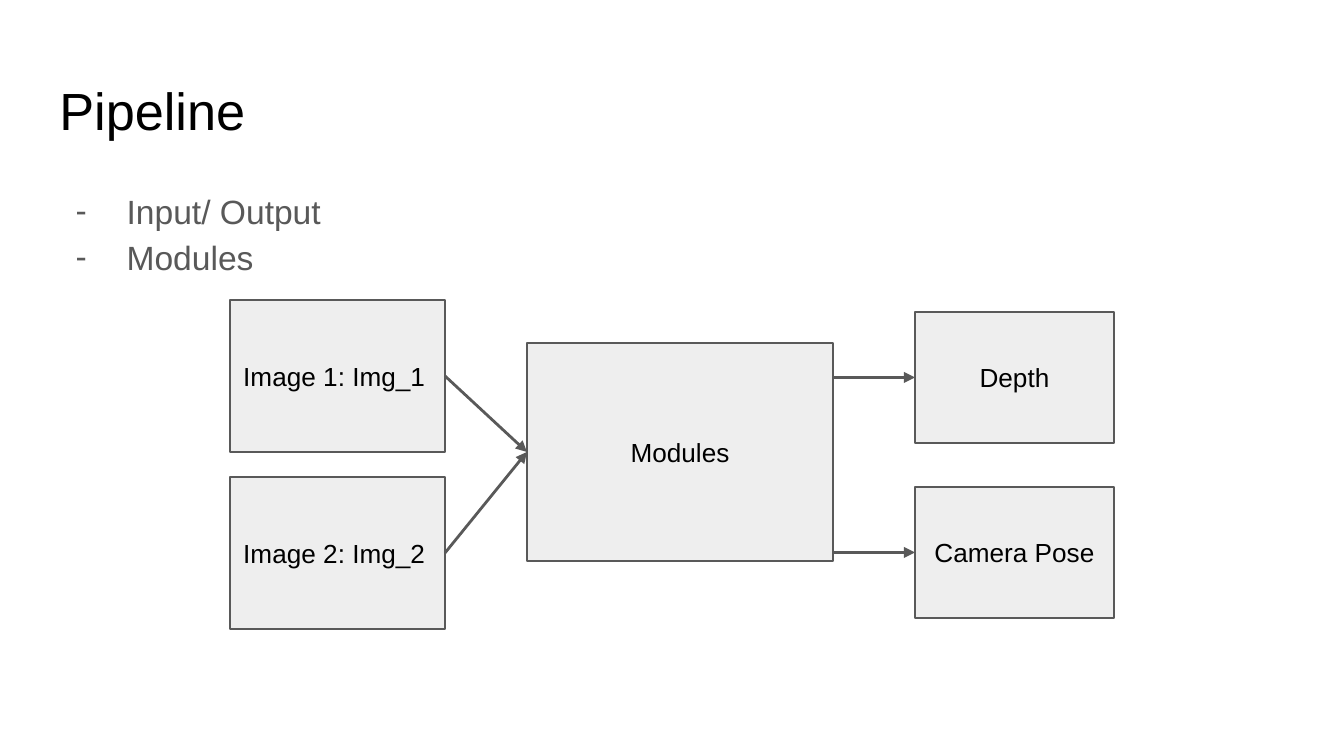
import pptx
import pptx.util
import pptx.dml.color
import pptx.enum.shapes
import pptx.enum.text
import lxml.etree
from pptx.oxml.ns import qn

PX = 914400 / 134.4
ALIGN = pptx.enum.text.PP_ALIGN
ANCHOR = pptx.enum.text.MSO_ANCHOR
GRAY = "595959"


def paint(code):
    return pptx.dml.color.RGBColor.from_string(code)


def write(shape, text, size, color, align, anchor):
    frame = shape.text_frame
    frame.text = text
    frame.word_wrap = True
    frame.auto_size = pptx.enum.text.MSO_AUTO_SIZE.NONE
    frame.vertical_anchor = anchor
    for side in ("left", "top", "right", "bottom"):
        setattr(frame, "margin_" + side, pptx.util.Inches(0.1))
    for para in frame.paragraphs:
        para.alignment = align
        para.space_before = pptx.util.Pt(0)
        font = para.runs[0].font
        font.name = "Arial"
        font.size = pptx.util.Pt(size)
        font.color.rgb = paint(color)


deck = pptx.Presentation()
deck.slide_width = round(1344 * PX)
deck.slide_height = round(756 * PX)
slide = deck.slides.add_slide(deck.slide_layouts[1])
title, body = slide.placeholders

for holder, top, high, text, size, color in (
    (title, 65, 84, "Pipeline", 28, "000000"),
    (body, 171, 502, "Input/ Output\nModules", 18, GRAY),
):
    holder.left, holder.top = round(46 * PX), round(top * PX)
    holder.width, holder.height = round(1253 * PX), round(high * PX)
    write(holder, text, size, color, ALIGN.LEFT, ANCHOR.TOP)

for para in body.text_frame.paragraphs:
    para.line_spacing = 1.15
    props = para._p.get_or_add_pPr()
    props.set("marL", str(pptx.util.Inches(0.5)))
    props.set("indent", str(pptx.util.Inches(-0.38)))
    tint = lxml.etree.SubElement(props, qn("a:buClr"))
    lxml.etree.SubElement(tint, qn("a:srgbClr"), val=GRAY)
    lxml.etree.SubElement(props, qn("a:buFont"), typeface="Arial")
    lxml.etree.SubElement(props, qn("a:buChar"), char="-")

boxes = {}
for text, left, top, wide, high, align in (
    ("Image 1: Img_1", 230, 300, 215, 152, ALIGN.LEFT),
    ("Image 2: Img_2", 230, 477, 215, 152, ALIGN.LEFT),
    ("Modules", 527, 343, 306, 218, ALIGN.CENTER),
    ("Depth", 915, 312, 199, 131, ALIGN.CENTER),
    ("Camera Pose", 915, 487, 199, 131, ALIGN.CENTER),
):
    area = [round(n * PX) for n in (left, top, wide, high)]
    box = slide.shapes.add_shape(pptx.enum.shapes.MSO_SHAPE.RECTANGLE, *area)
    box.shadow.inherit = False
    box.fill.solid()
    box.fill.fore_color.rgb = paint("EEEEEE")
    box.line.color.rgb = paint(GRAY)
    box.line.width = pptx.util.Pt(0.75)
    write(box, text, 14, "000000", align, ANCHOR.MIDDLE)
    boxes[text] = box

hub = boxes["Modules"]
for start, end in (
    ("Image 1: Img_1", "Modules"),
    ("Image 2: Img_2", "Modules"),
    ("Modules", "Depth"),
    ("Modules", "Camera Pose"),
):
    goal = boxes[end]
    mid = goal.top + goal.height // 2
    arrow = slide.shapes.add_connector(
        pptx.enum.shapes.MSO_CONNECTOR.STRAIGHT,
        hub.left + hub.width, mid, goal.left, mid)
    if start != "Modules":
        arrow.begin_connect(boxes[start], 3)
    arrow.end_connect(goal, 1)
    arrow.line.color.rgb = paint(GRAY)
    arrow.line.width = pptx.util.Pt(1.5)
    lxml.etree.SubElement(arrow.line._get_or_add_ln(), qn("a:tailEnd"), type="triangle")
    lxml.etree.SubElement(arrow._element.spPr, qn("a:effectLst"))

deck.save("out.pptx")
